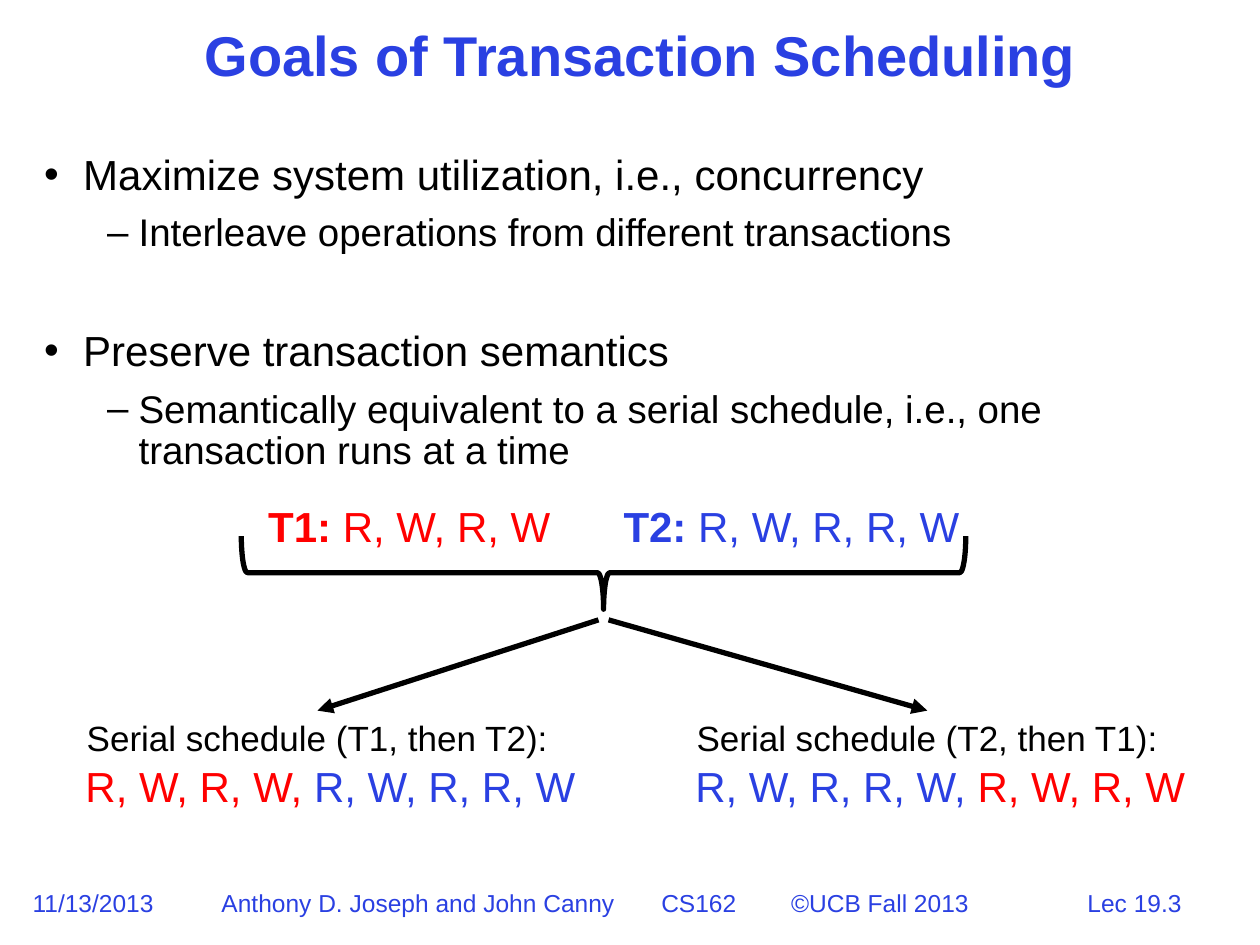
from pptx import Presentation
from pptx.dml.color import RGBColor
from pptx.enum.shapes import MSO_CONNECTOR, MSO_SHAPE
from pptx.enum.text import MSO_ANCHOR, MSO_AUTO_SIZE, PP_ALIGN
from pptx.oxml.ns import qn
from pptx.util import Inches, Pt
from lxml import etree

LEFT, CENTER = PP_ALIGN.LEFT, PP_ALIGN.CENTER
MIDDLE, TOP = MSO_ANCHOR.MIDDLE, MSO_ANCHOR.TOP
NO_AUTOSIZE = MSO_AUTO_SIZE.NONE
STRAIGHT = MSO_CONNECTOR.STRAIGHT
RIGHT_BRACE = MSO_SHAPE.RIGHT_BRACE
COLORS = {"blue": "2A40E2", "red": "FF0000", "black": "000000"}


class SlideBuilder:
    font_name = "Arial"
    line_width = Pt(3)

    def __init__(self, slide):
        self.slide = slide

    def color(self, name):
        return RGBColor.from_string(COLORS[name])

    def style(self, font, size=None, color=None, bold=None):
        font.name = self.font_name
        if size:
            font.size = Pt(size)
        if color:
            font.color.rgb = self.color(color)
        if bold is not None:
            font.bold = bold

    def place(self, shape, left, top, width, height):
        shape.left, shape.top = Inches(left), Inches(top)
        shape.width, shape.height = Inches(width), Inches(height)

    def title(self, text, *box):
        title = self.slide.shapes.title
        self.place(title, *box)
        frame = title.text_frame
        frame.auto_size = NO_AUTOSIZE
        frame.vertical_anchor = MIDDLE
        frame.text = text
        paragraph = frame.paragraphs[0]
        paragraph.alignment = CENTER
        paragraph.line_spacing = 0.9
        self.style(paragraph.font, 32, "blue", True)

    def bullets(self, items, *box):
        body = self.slide.placeholders[1]
        self.place(body, *box)
        frame = body.text_frame
        frame.auto_size = NO_AUTOSIZE
        frame.vertical_anchor = TOP
        levels = [("•", 0.31, 0.31, 24), ("–", 0.75, 0.25, 22)]
        for index, (level, text, space) in enumerate(items):
            mark, margin, hanging, size = levels[level]
            paragraph = frame.paragraphs[0] if index == 0 else frame.add_paragraph()
            paragraph.text = text
            paragraph.level = level
            paragraph.line_spacing = 0.9
            paragraph.space_before = Pt(space)
            properties = paragraph._p.get_or_add_pPr()
            properties.set("marL", str(Inches(margin)))
            properties.set("indent", str(-Inches(hanging)))
            bullet_color = etree.SubElement(properties, qn("a:buClr"))
            etree.SubElement(bullet_color, qn("a:srgbClr"), val=COLORS["black"])
            etree.SubElement(properties, qn("a:buFont"), typeface=self.font_name)
            etree.SubElement(properties, qn("a:buChar"), char=mark)
            self.style(paragraph.font, size, "black")

    def text(self, runs, size, *box, align=LEFT, wrap=False, tabs=()):
        label = self.slide.shapes.add_textbox(*map(Inches, box))
        frame = label.text_frame
        frame.word_wrap = wrap
        paragraph = frame.paragraphs[0]
        paragraph.alignment = align
        if tabs:
            tab_list = etree.SubElement(paragraph._p.get_or_add_pPr(), qn("a:tabLst"))
            for position in tabs:
                etree.SubElement(tab_list, qn("a:tab"), pos=str(Inches(position)), algn="l")
        self.style(paragraph.font, size)
        for content, color, bold in runs:
            run = paragraph.add_run()
            run.text = content
            self.style(run.font, size, color, bold)
        return label

    def brace(self, *box):
        brace = self.slide.shapes.add_shape(RIGHT_BRACE, *map(Inches, box))
        brace.rotation = 90
        brace.shadow.inherit = False
        brace.fill.background()
        brace.line.color.rgb = self.color("black")
        brace.line.width = self.line_width

    def arrow(self, x, y, target):
        start = Inches(x), Inches(y)
        arrow = self.slide.shapes.add_connector(STRAIGHT, *start, *start)
        arrow.end_connect(target, 0)
        arrow.line.color.rgb = self.color("black")
        arrow.line.width = self.line_width
        etree.SubElement(arrow.line._get_or_add_ln(), qn("a:tailEnd"), type="triangle")
        etree.SubElement(arrow._element.spPr, qn("a:effectLst"))


def main():
    presentation = Presentation()
    presentation.slide_width, presentation.slide_height = Inches(10), Inches(7.5)
    builder = SlideBuilder(presentation.slides.add_slide(presentation.slide_layouts[1]))

    builder.title("Goals of Transaction Scheduling", 0.5, 0.17, 9.17, 0.58)
    builder.bullets([
        (0, "Maximize system utilization, i.e., concurrency", 0),
        (1, "Interleave operations from different transactions", 8.2),
        (0, "Preserve transaction semantics", 43),
        (1, "Semantically equivalent to a serial schedule, i.e., one transaction runs at a time", 8.2),
    ], 0.25, 1.17, 9.42, 2.67)

    first = ("R, W, R, W", "red")
    second = ("R, W, R, R, W", "blue")
    builder.text([("T1: ", "red", True), (*first, False)], 24, 2.03, 3.92, 2.46, 0.5)
    builder.text([("T2: ", "blue", True), (*second, False)], 24, 4.85, 3.92, 2.88, 0.5)
    builder.brace(4.5, 1.67, 0.58, 5.75)

    schedules = [
        ("T1, then T2", first, second, 0.59, 4.75),
        ("T2, then T1", second, first, 5.43, 4.83),
    ]
    for order, (early, early_color), (late, late_color), left, arrow_x in schedules:
        heading = builder.text([(f"Serial schedule ({order}):", "black", False)],
                               20, left, 5.64, 3.86, 0.44)
        builder.text([(early + ", ", early_color, False), (late, late_color, False)],
                     24, left - 0.01, 5.99, 4.17, 0.5, wrap=True)
        builder.arrow(arrow_x, 4.92, heading)

    builder.text([("11/13/2013", "blue", False)], 14, 0.16, 7, 1.18, 0.33)
    builder.text([("Anthony D. Joseph and John Canny\tCS162\t©UCB Fall 2013", "blue", False)],
                 14, 1.66, 7, 6.3, 0.33, wrap=True, tabs=(3.49, 4.52))
    builder.text([("Lec 19.3", "blue", False)], 14, 8.14, 7, 1.73, 0.33, align=CENTER)

    presentation.save("out.pptx")


if __name__ == "__main__":
    main()
